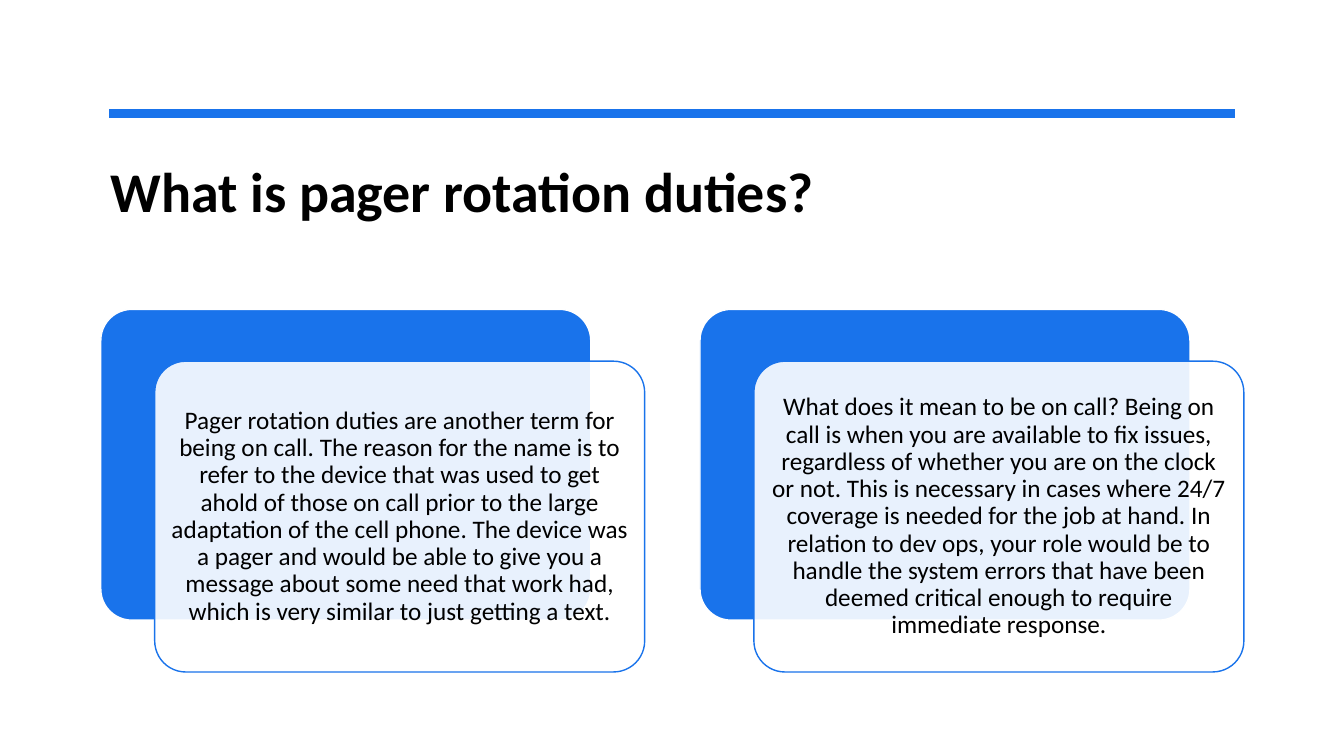
from lxml.etree import SubElement
from pptx import Presentation
from pptx.dml.color import RGBColor
from pptx.enum.shapes import MSO_CONNECTOR as CONN, MSO_SHAPE as SHAPE
from pptx.enum.text import MSO_ANCHOR as ANCHOR, PP_ALIGN as ALIGN
from pptx.oxml.ns import qn
from pptx.util import Pt

COLORS = {"blue": "1973EB", "white": "FFFFFF", "black": "000000"}
CARD_W, CARD_H = 350, 222
CARD_LEFT, CARD_TOP, CARD_STEP = 72, 221, 428
PANEL_DX, PANEL_DY = 38.5, 37
TEXT_INSET = 6.5
CARD_TEXTS = [
    "Pager rotation duties are another term for being on call. The reason for "
    "the name is to refer to the device that was used to get ahold of those on "
    "call prior to the large adaptation of the cell phone. The device was a "
    "pager and would be able to give you a message about some need that work "
    "had, which is very similar to just getting a text.",
    "What does it mean to be on call? Being on call is when you are available "
    "to fix issues, regardless of whether you are on the clock or not. This is "
    "necessary in cases where 24/7 coverage is needed for the job at hand. In "
    "relation to dev ops, your role would be to handle the system errors that "
    "have been deemed critical enough to require immediate response.",
]


def rgb(name):
    """Return the named colour."""
    return RGBColor.from_string(COLORS[name])


def add_text(s, text, x, y, w, h, size=18, bold=False, align=ALIGN.LEFT,
             anchor=ANCHOR.TOP, spacing=1.0, margins=(7.2, 3.6)):
    """Add a wrapped text box with one formatted paragraph."""
    tf = s.shapes.add_textbox(Pt(x), Pt(y), Pt(w), Pt(h)).text_frame
    tf.word_wrap = True
    tf.vertical_anchor = anchor
    tf.margin_left = tf.margin_right = Pt(margins[0])
    tf.margin_top = tf.margin_bottom = Pt(margins[1])
    p = tf.paragraphs[0]
    p.alignment = align
    p.line_spacing = spacing
    r = p.add_run()
    r.text = text
    r.font.name = "Calibri"
    r.font.size = Pt(size)
    r.font.bold = bold
    r.font.color.rgb = rgb("black")


def add_rule(s, x1, x2, y, color, width):
    """Add a horizontal line without a shadow."""
    line = s.shapes.add_connector(CONN.STRAIGHT, Pt(x1), Pt(y), Pt(x2), Pt(y))
    line.line.color.rgb = rgb(color)
    line.line.width = Pt(width)
    SubElement(line._element.spPr, qn("a:effectLst"))


def add_panel(s, x, y, fill, line, opacity=100):
    """Add a rounded rectangle of card size."""
    sp = s.shapes.add_shape(SHAPE.ROUNDED_RECTANGLE,
                            Pt(x), Pt(y), Pt(CARD_W), Pt(CARD_H))
    sp.adjustments[0] = 0.1
    sp.shadow.inherit = False
    sp.fill.solid()
    sp.fill.fore_color.rgb = rgb(fill)
    if opacity < 100:
        color = sp._element.spPr.find(qn("a:solidFill"))[0]
        SubElement(color, qn("a:alpha"), val=str(opacity * 1000))
    sp.line.color.rgb = rgb(line)
    sp.line.width = Pt(1)


def add_card(s, x, y, text):
    """Add a blue panel with an offset translucent panel and its text."""
    add_panel(s, x, y, "blue", "white")
    x, y = x + PANEL_DX, y + PANEL_DY
    add_panel(s, x, y, "white", "blue", opacity=90)
    add_text(s, text, x + TEXT_INSET, y + TEXT_INSET,
             CARD_W - 2 * TEXT_INSET, CARD_H - 2 * TEXT_INSET,
             align=ALIGN.CENTER, anchor=ANCHOR.MIDDLE, spacing=0.9,
             margins=(5, 5))


def main():
    """Build the slide and save it."""
    prs = Presentation()
    prs.slide_width, prs.slide_height = Pt(960), Pt(540)
    s = prs.slides.add_slide(prs.slide_layouts[6])
    add_text(s, "What is pager rotation duties?", 72, 108, 816, 90,
             size=40, bold=True)
    add_rule(s, 78, 882, 81, "blue", 6)
    for i, text in enumerate(CARD_TEXTS):
        add_card(s, CARD_LEFT + i * CARD_STEP, CARD_TOP, text)
    prs.save("out.pptx")


if __name__ == "__main__":
    main()
